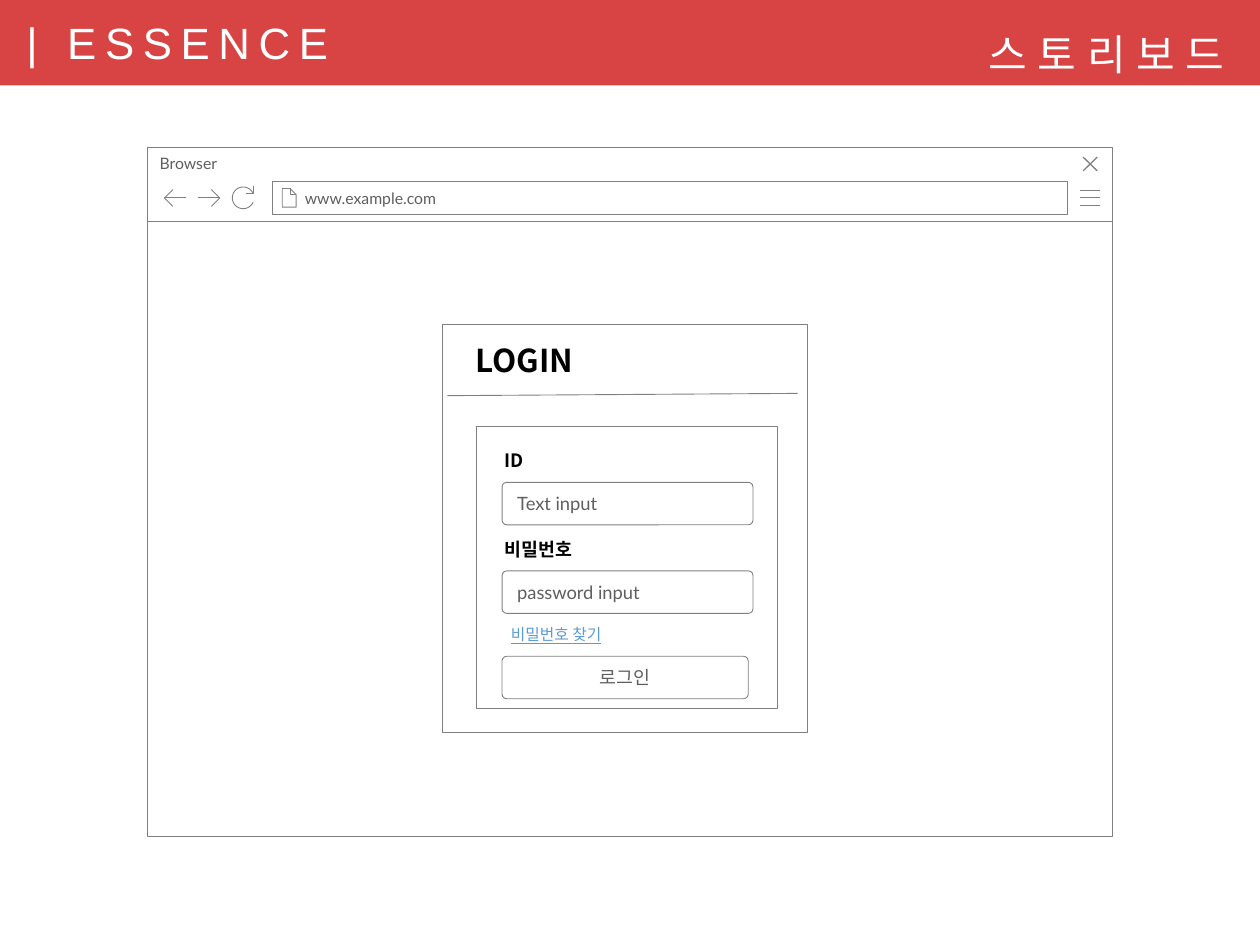
import math
from dataclasses import dataclass

import pptx
import pptx.dml.color
import pptx.enum.shapes
import pptx.enum.text
import pptx.oxml
import pptx.oxml.ns
import pptx.util

Pt = pptx.util.Pt
Shape = pptx.enum.shapes.MSO_SHAPE
Anchor = pptx.enum.text.MSO_ANCHOR
Align = pptx.enum.text.PP_ALIGN
COLOURS = {
    "band": "D84444",
    "white": "FFFFFF",
    "outline": "808080",
    "body": "5F5F5F",
    "heading": "000000",
    "link": "5B9BD5",
}
BODY_FONT = "Lato"
KOREAN_FONT = "Noto Sans CJK KR"
DEFAULT_INSETS = (7.2, 3.6, 7.2, 3.6)
FIELD_INSETS = (7.9, 5, 7.9, 5)


@dataclass(frozen=True)
class Rect:
    left: float
    top: float
    width: float
    height: float

    def lengths(self) -> list:
        return [Pt(value) for value in (self.left, self.top, self.width, self.height)]


@dataclass(frozen=True)
class Field:
    label: str
    label_width: float
    hint: str


@dataclass(frozen=True)
class Icon:
    strokes: list
    line_width: float = 0.5


def rgb(name: str) -> pptx.dml.color.RGBColor:
    return pptx.dml.color.RGBColor.from_string(COLOURS[name])


def write(shape, text: str, *, size: float, font: str = BODY_FONT, colour: str = "body",
          bold: bool = False, underline: bool = False, spacing: float = 0,
          align=Align.LEFT, anchor=Anchor.TOP, insets: tuple = DEFAULT_INSETS,
          wrap: bool = True) -> None:
    frame = shape.text_frame
    frame.word_wrap = wrap
    frame.vertical_anchor = anchor
    (frame.margin_left, frame.margin_top,
     frame.margin_right, frame.margin_bottom) = [Pt(inset) for inset in insets]
    para = frame.paragraphs[0]
    para.alignment = align
    span = para.add_run()
    span.text = text
    span.font.size = Pt(size)
    span.font.name = font
    span.font.bold = bold
    span.font.underline = underline
    span.font.color.rgb = rgb(colour)
    properties = span.font._element
    if spacing:
        properties.set("spc", str(round(spacing * 100)))
    east_asian = pptx.oxml.parse_xml(
        f'<a:ea {pptx.oxml.ns.nsdecls("a")} typeface="{KOREAN_FONT}"/>')
    properties.find(pptx.oxml.ns.qn("a:latin")).addnext(east_asian)


def add_text(page, rect: Rect, text: str, **text_format) -> None:
    write(page.shapes.add_textbox(*rect.lengths()), text, **text_format)


def add_box(page, rect: Rect, *, fill: str = "white", outlined: bool = True,
            radius: float = 0):
    """Draw a filled box; a positive radius rounds its corners."""
    kind = Shape.ROUNDED_RECTANGLE if radius else Shape.RECTANGLE
    box = page.shapes.add_shape(kind, *rect.lengths())
    box.shadow.inherit = False
    if radius:
        box.adjustments[0] = radius
    box.fill.solid()
    box.fill.fore_color.rgb = rgb(fill)
    if outlined:
        box.line.color.rgb = rgb("outline")
        box.line.width = Pt(0.5)
    else:
        box.line.fill.background()
    return box


def add_icon(page, icon: Icon) -> None:
    """Draw all open strokes of an icon as one unfilled outline."""
    strokes = [[(Pt(x), Pt(y)) for x, y in stroke] for stroke in icon.strokes]
    builder = page.shapes.build_freeform(*strokes[0][0])
    for index, stroke in enumerate(strokes):
        if index:
            builder.move_to(*stroke[0])
        builder.add_line_segments(stroke[1:], close=False)
    shape = builder.convert_to_shape()
    shape.shadow.inherit = False
    shape.fill.background()
    shape.line.color.rgb = rgb("outline")
    shape.line.width = Pt(icon.line_width)


def arrow_icon(tip: float, tail: float, middle: float) -> Icon:
    head = tip + math.copysign(4.8, tail - tip)
    return Icon([[(head, middle - 4.8), (tip, middle), (head, middle + 4.8)],
                 [(tip, middle), (tail, middle)]])


def reload_icon(x: float, y: float, radius: float) -> Icon:
    angles = [math.radians(degrees) for degrees in range(24, 337, 8)]
    arc = [(x + radius * math.cos(angle), y + radius * math.sin(angle)) for angle in angles]
    corner = [(x + 6, y - 6.8), (x + 6, y - 2.6), (x + 1.8, y - 2.6)]
    return Icon([corner, arc])


def draw_header(page) -> None:
    add_box(page, Rect(0, 0, 720, 48.8), fill="band", outlined=False)
    add_text(page, Rect(8, 5.4, 351, 37.4), "| ESSENCE",
             size=25, font="Arial", colour="white", spacing=5)
    add_text(page, Rect(558, 13, 160, 36), "스토리보드", size=24, font=KOREAN_FONT,
             colour="white", spacing=6, insets=(7.2, 3.6, 0, 3.6))


def draw_browser(page) -> None:
    add_box(page, Rect(84.2, 126.7, 551.5, 351.4))
    title_bar = add_box(page, Rect(84.2, 84.2, 551.5, 42.5))
    write(title_bar, "Browser", size=9, insets=(7.2, 3.6, 18, 3.6))
    address = add_box(page, Rect(155.5, 103.7, 454.5, 18.9))
    write(address, "www.example.com", size=9, anchor=Anchor.MIDDLE,
          insets=(18.7, 3.6, 7.2, 3.6))

    middle = 113.1
    menu = Icon([[(617.1, middle + offset), (628.6, middle + offset)]
                 for offset in (-4.5, 0, 4.5)])
    close = Icon([[(627, 89.8), (619, 97.6)], [(619, 89.8), (627, 97.6)]], 0.75)
    document = Icon([[(165.7, 107.7), (165.7, 111.2), (169.2, 111.2)],
                     [(161.3, 107.7), (161.3, 118.4), (169.2, 118.4),
                      (169.2, 111.2), (165.7, 107.7), (161.3, 107.7)]])
    for icon in (menu, close, document, arrow_icon(94, 106.4, middle),
                 arrow_icon(125.6, 113.2, middle), reload_icon(139, middle, 6.2)):
        add_icon(page, icon)


def draw_login(page) -> None:
    add_box(page, Rect(253, 185.5, 208.5, 233.1))
    add_box(page, Rect(272.2, 243.9, 172, 161.1))
    heading = {"font": KOREAN_FONT, "colour": "heading", "bold": True}
    add_text(page, Rect(264.6, 191.5, 95.8, 28.8), "LOGIN", size=18, **heading)
    rule = page.shapes.add_connector(pptx.enum.shapes.MSO_CONNECTOR.STRAIGHT,
                                     Pt(255.6), Pt(226.1), Pt(455.8), Pt(224.8))
    rule.line.color.rgb = rgb("outline")
    rule.line.width = Pt(0.5)
    rule._element.spPr.append(
        pptx.oxml.parse_xml(f'<a:effectLst {pptx.oxml.ns.nsdecls("a")}/>'))

    fields = [Field("ID", 50.4, "Text input"), Field("비밀번호", 67.7, "password input")]
    for index, field in enumerate(fields):
        top = 253.4 + index * 50.6
        add_text(page, Rect(281.5, top, field.label_width, 20.2), field.label,
                 size=10.5, **heading)
        entry = add_box(page, Rect(286.9, top + 22.2, 143.4, 24.3), radius=0.11)
        write(entry, field.hint, size=10.5, anchor=Anchor.MIDDLE, insets=FIELD_INSETS)

    add_text(page, Rect(286.1, 354.4, 68.4, 16.6), "비밀번호 찾기", size=9,
             colour="link", underline=True, insets=(5.8, 2.9, 5.8, 2.9), wrap=False)
    button = add_box(page, Rect(286.9, 375, 140.7, 24.3), radius=0.11)
    write(button, "로그인", size=10.5, align=Align.CENTER, anchor=Anchor.MIDDLE,
          insets=FIELD_INSETS)


def main() -> None:
    deck = pptx.Presentation()
    deck.slide_width, deck.slide_height = Pt(720), Pt(540)
    page = deck.slides.add_slide(deck.slide_layouts[6])
    draw_header(page)
    draw_browser(page)
    draw_login(page)
    deck.save("out.pptx")


if __name__ == "__main__":
    main()
